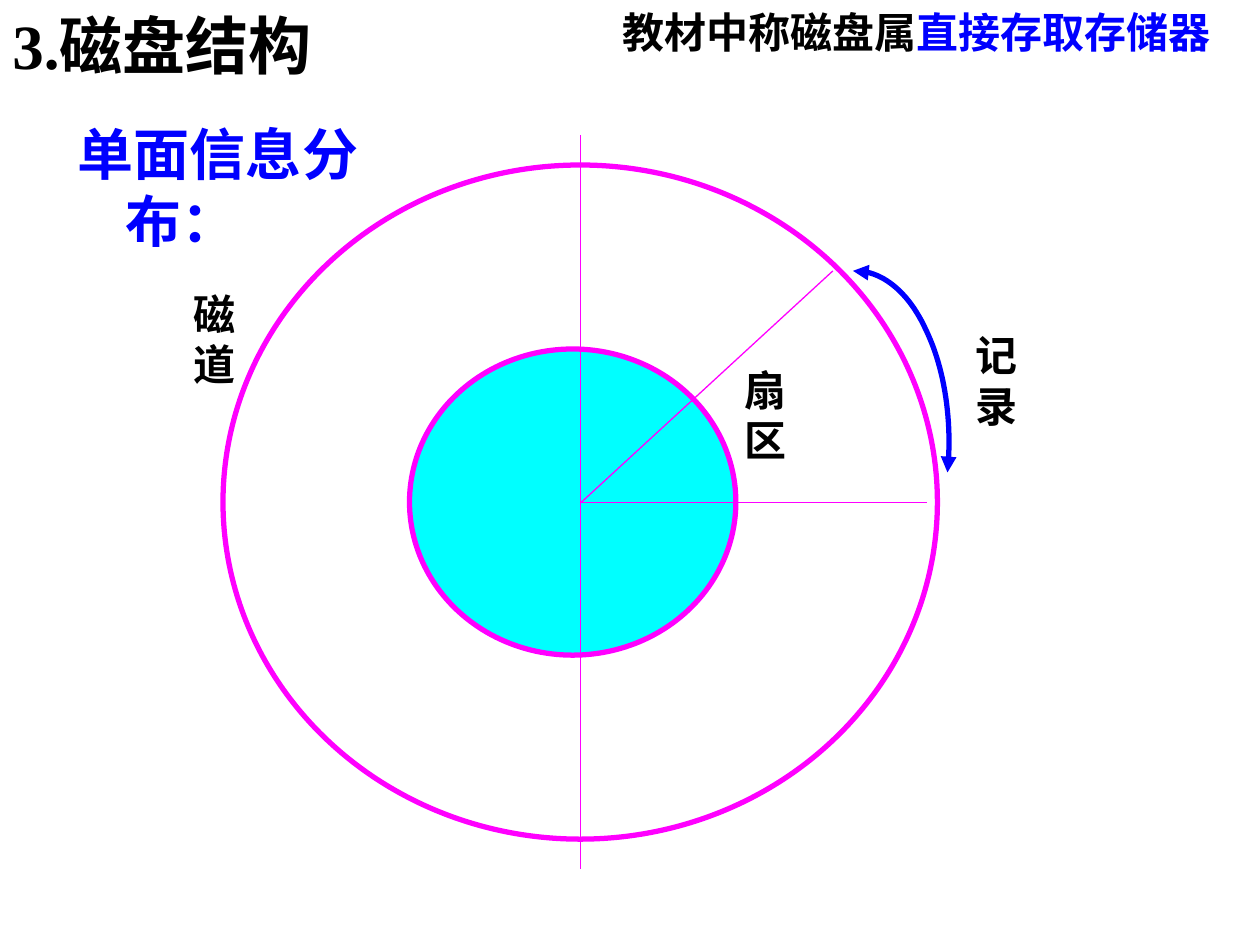
import pptx
import pptx.util
import pptx.dml.color
import pptx.enum.shapes
import pptx.enum.text
import pptx.oxml.ns
import lxml.etree

Inches = pptx.util.Inches
Pt = pptx.util.Pt
RGBColor = pptx.dml.color.RGBColor
Align = pptx.enum.text.PP_ALIGN
qn = pptx.oxml.ns.qn

BLACK = RGBColor(0, 0, 0)
BLUE = RGBColor(0, 0, 255)
CYAN = RGBColor(0, 255, 255)
MAGENTA = RGBColor(255, 0, 255)


def add_text(tf, runs, size=24, before=6, hanging=0, align=Align.LEFT,
             right_inset=0.1):
    tf.margin_right = Inches(right_inset)
    p = tf.paragraphs[0]
    p.alignment = align
    p.space_before = Pt(before)
    if hanging:
        pPr = p._p.get_or_add_pPr()
        pPr.set("marL", str(Inches(hanging)))
        pPr.set("indent", str(-Inches(hanging)))
    for text, color in runs:
        r = p.add_run()
        r.text = text
        r.font.name = "Times New Roman"
        r.font.size = Pt(size)
        r.font.bold = True
        r.font.color.rgb = color


def bezier(p0, p1, p2, p3, steps=24):
    for i in range(1, steps + 1):
        t = i / steps
        u = 1 - t
        yield tuple(
            u**3 * a + 3 * u * u * t * b + 3 * u * t * t * c + t**3 * d
            for a, b, c, d in zip(p0, p1, p2, p3)
        )


class Sketch:
    thick = Pt(3)
    thin = Pt(0.74)

    def __init__(self, slide):
        self.s = slide

    def text(self, left, top, width, height, runs, **fmt):
        sp = self.s.shapes.add_textbox(
            Inches(left), Inches(top), Inches(width), Inches(height))
        sp.text_frame.word_wrap = True
        add_text(sp.text_frame, runs, **fmt)

    def ellipse(self, left, top, width, height, fill=None):
        sp = self.s.shapes.add_shape(
            pptx.enum.shapes.MSO_SHAPE.OVAL,
            Inches(left), Inches(top), Inches(width), Inches(height))
        sp.shadow.inherit = False
        if fill is None:
            sp.fill.background()
        else:
            sp.fill.solid()
            sp.fill.fore_color.rgb = fill
        sp.line.color.rgb = MAGENTA
        sp.line.width = self.thick

    def line(self, start, end):
        cx = self.s.shapes.add_connector(
            pptx.enum.shapes.MSO_CONNECTOR.STRAIGHT,
            *map(Inches, start + end))
        cx.line.color.rgb = MAGENTA
        cx.line.width = self.thin
        lxml.etree.SubElement(cx._element.spPr, qn("a:effectLst"))

    def double_arrow(self, start, *curves):
        points = [start]
        for curve in curves:
            points.extend(bezier(points[-1], *curve))
        points = [(Inches(x), Inches(y)) for x, y in points]
        fb = self.s.shapes.build_freeform(*points[0])
        fb.add_line_segments(points[1:], close=False)
        sp = fb.convert_to_shape()
        sp.shadow.inherit = False
        sp.fill.background()
        sp.line.color.rgb = BLUE
        sp.line.width = self.thick
        ln = sp.line._get_or_add_ln()
        for tag in ("a:headEnd", "a:tailEnd"):
            lxml.etree.SubElement(ln, qn(tag), type="triangle")


prs = pptx.Presentation()
prs.slide_width = Inches(10)
prs.slide_height = Inches(7.5)
sk = Sketch(prs.slides.add_slide(prs.slide_layouts[6]))

center = (4.61, 3.99)
sk.text(0.52, 0.9, 3.08, 0.92, [("单面信息分布：", BLUE)],
        size=32, before=8, hanging=0.38, right_inset=0.4)
sk.ellipse(3.25, 2.77, 2.59, 2.43, fill=CYAN)
sk.ellipse(1.77, 1.31, 5.67, 5.35)
sk.line((center[0], 1.07), (center[0], 6.9))
for rim in ((7.36, center[1]), (6.61, 2.15)):
    sk.line(center, rim)

sk.double_arrow((6.77, 2.15),
                ((6.99, 2.14), (7.21, 2.31), (7.35, 2.62)),
                ((7.5, 2.93), (7.56, 3.35), (7.52, 3.75)))

for label, left, top, width, align in (
        ("磁道", 1.44, 2.24, 0.7, Align.LEFT),
        ("扇区", 5.81, 2.84, 0.46, Align.LEFT),
        ("记录", 7.61, 2.57, 0.6, Align.CENTER)):
    sk.text(left, top, width, 0.9, [(label, BLACK)], align=align)

sk.text(0, 0, 3.51, 0.71, [("3.磁盘结构", BLACK)],
        size=36, before=9, hanging=0.38)
sk.text(4.84, 0, 5.16, 0.6,
        [("教材中称磁盘属", BLACK), ("直接存取存储器", BLUE)], hanging=0.38)

prs.save("out.pptx")
